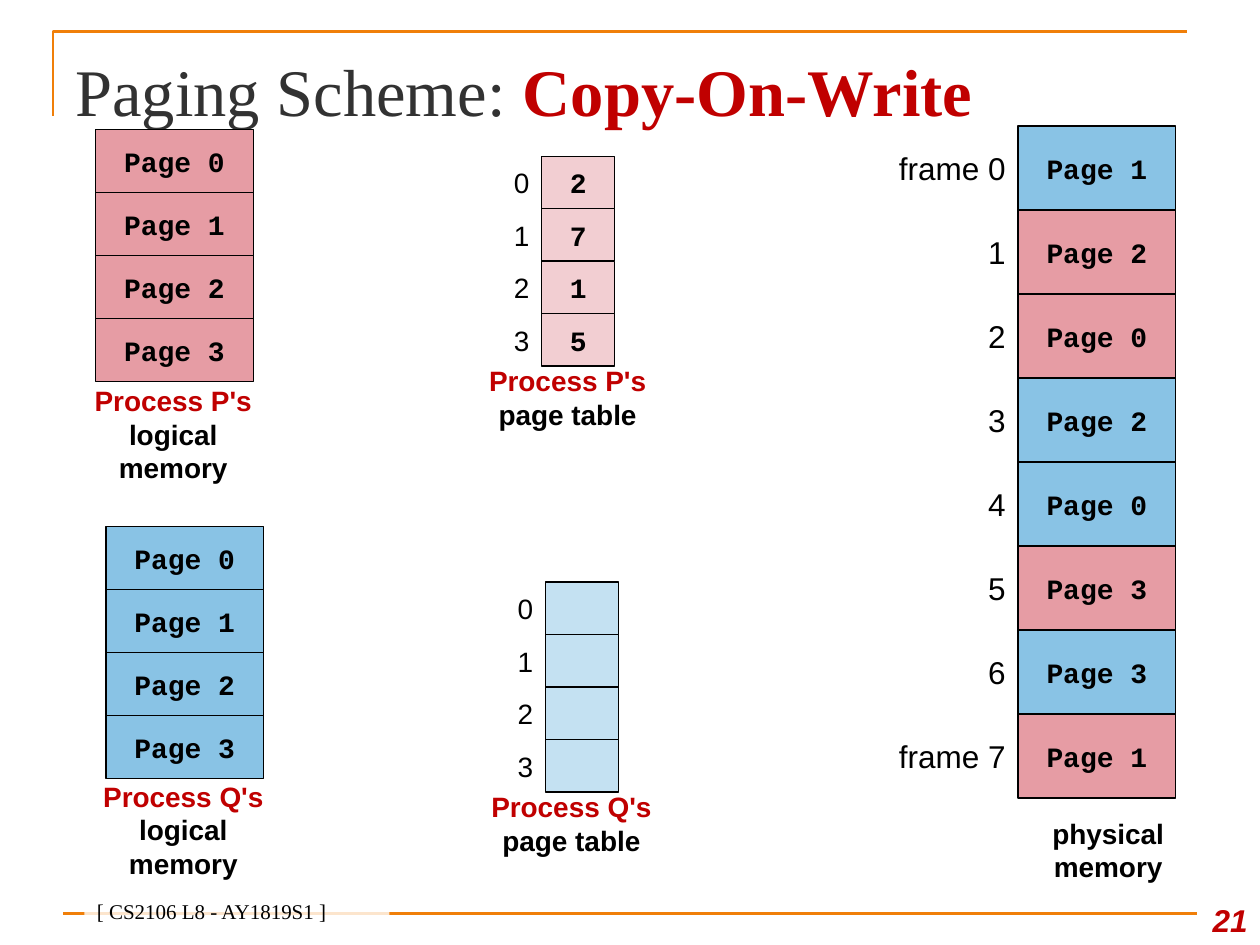
from lxml.etree import SubElement
from pptx import Presentation
from pptx.dml.color import RGBColor
from pptx.enum.shapes import MSO_CONNECTOR, MSO_SHAPE
from pptx.enum.text import MSO_ANCHOR, PP_ALIGN
from pptx.oxml.ns import qn
from pptx.util import Inches, Pt

BLACK, WHITE, RED, ORANGE, GREY = "000000", "FFFFFF", "C00000", "F07F09", "323232"
PROCESS_FILL = {"P": "E69CA4", "Q": "89C3E5"}
ENTRY_FILL = {"P": "F2CED2", "Q": "C4E1F2"}

TITLE = [("Paging Scheme: ", GREY, False), ("Copy-On-Write", RED, True)]
FOOTER = "[ CS2106 L8 - AY1819S1 ]"
SLIDE_NUMBER = "21"
PAGES = ["Page 0", "Page 1", "Page 2", "Page 3"]
LOGICAL_MEMORIES = [("P", 0.76, 1.03, 0.5, 3.07), ("Q", 0.84, 4.18, 0.58, 6.21)]
PAGE_TABLES = [
    ("P", 4.3, 1.24, ["2", "7", "1", "5"]),
    ("Q", 4.33, 4.62, ["", "", "", ""]),
]
FRAMES = [
    ("frame 0", "Q", "Page 1"),
    ("1", "P", "Page 2"),
    ("2", "P", "Page 0"),
    ("3", "Q", "Page 2"),
    ("4", "Q", "Page 0"),
    ("5", "P", "Page 3"),
    ("6", "Q", "Page 3"),
    ("frame 7", "P", "Page 1"),
]

PAGE_WIDTH, PAGE_HEIGHT = 1.25, 0.5
ENTRY_WIDTH, ENTRY_HEIGHT, INDEX_WIDTH = 0.58, 1.25 / 3, 0.5
FRAME_LEFT, FRAME_TOP, FRAME_HEIGHT, FRAME_LABEL_WIDTH = 8.08, 1, 2 / 3, 1.08
CAPTION_WIDTH = 1.75

presentation = Presentation()
presentation.slide_width, presentation.slide_height = Inches(10), Inches(7.5)
slide = presentation.slides.add_slide(presentation.slide_layouts[6])


def color(value):
    return RGBColor.from_string(value)


def write(shape, lines, size, font="Arial", align=PP_ALIGN.CENTER,
          anchor=MSO_ANCHOR.MIDDLE, italic=False):
    frame = shape.text_frame
    frame.word_wrap = True
    frame.vertical_anchor = anchor
    for number, line in enumerate(lines):
        paragraph = frame.add_paragraph() if number else frame.paragraphs[0]
        paragraph.alignment = align
        for text, ink, bold in line:
            run = paragraph.add_run()
            run.text = text
            run.font.name, run.font.size = font, Pt(size)
            run.font.bold, run.font.italic = bold, italic
            run.font.color.rgb = color(ink)


def add_text(left, top, width, height, lines, size, **style):
    box = slide.shapes.add_textbox(*map(Inches, (left, top, width, height)))
    write(box, lines, size, **style)


def add_rectangle(left, top, width, height, fill, outlined=True):
    rectangle = slide.shapes.add_shape(
        MSO_SHAPE.RECTANGLE, *map(Inches, (left, top, width, height)))
    rectangle.shadow.inherit = False
    rectangle.fill.solid()
    rectangle.fill.fore_color.rgb = color(fill)
    if outlined:
        rectangle.line.color.rgb = color(BLACK)
        rectangle.line.width = Pt(0.75)
    else:
        rectangle.line.fill.background()
    return rectangle


def add_cell(left, top, width, height, fill, text):
    cell = add_rectangle(left, top, width, height, fill)
    if text:
        write(cell, [[(text, BLACK, True)]], 16, font="Courier New")


def add_caption(left, top, height, process, subject):
    lines = [[(f"Process {process}'s", RED, True)], [(subject, BLACK, True)]]
    add_text(left, top, CAPTION_WIDTH, height, lines, 16)


def add_index(left, top, width, height, text, size):
    add_text(left, top, width, height, [[(text, BLACK, False)]], size, align=PP_ALIGN.RIGHT)


outline = slide.shapes.build_freeform(Inches(0.42), Inches(0.92))
outline.add_line_segments(
    [(Inches(0.42), Inches(0.25)), (Inches(9.42), Inches(0.25))], close=False)
corner = outline.convert_to_shape()
corner.shadow.inherit = False
corner.fill.background()

footer_rule = slide.shapes.add_connector(
    MSO_CONNECTOR.STRAIGHT, Inches(0.5), Inches(7.25), Inches(9.5), Inches(7.25))
SubElement(footer_rule._element.spPr, qn("a:effectLst"))
for rule in (corner, footer_rule):
    rule.line.color.rgb = color(ORANGE)
    rule.line.width = Pt(1.5)
footer_rule._element.spPr.append(footer_rule._element.spPr.find(qn("a:effectLst")))

add_text(0.5, 0.3, 9, 0.78, [TITLE], 38, font="Times New Roman",
         align=PP_ALIGN.LEFT, anchor=MSO_ANCHOR.BOTTOM)

footer = add_rectangle(0.67, 7.13, 2.42, 0.25, WHITE, outlined=False)
footer_tint = footer._element.spPr.find(qn("a:solidFill")).find(qn("a:srgbClr"))
SubElement(footer_tint, qn("a:alpha"), val="80000")
write(footer, [[(FOOTER, BLACK, False)]], 12, font="Times New Roman",
      align=PP_ALIGN.LEFT, anchor=MSO_ANCHOR.BOTTOM)
add_text(9.42, 7, 0.58, 0.5, [[(SLIDE_NUMBER, RED, True)]], 18,
         align=PP_ALIGN.RIGHT, anchor=MSO_ANCHOR.BOTTOM, italic=True)

for process, left, top, caption_left, caption_top in LOGICAL_MEMORIES:
    for row, page in enumerate(PAGES):
        add_cell(left, top + row * PAGE_HEIGHT, PAGE_WIDTH, PAGE_HEIGHT,
                 PROCESS_FILL[process], page)
    add_caption(caption_left, caption_top, 0.75, process, "logical memory")

for process, left, top, entries in PAGE_TABLES:
    for row, entry in enumerate(entries):
        entry_top = top + row * ENTRY_HEIGHT
        add_index(left - INDEX_WIDTH, entry_top, INDEX_WIDTH, ENTRY_HEIGHT, str(row), 16)
        add_cell(left, entry_top, ENTRY_WIDTH, ENTRY_HEIGHT, ENTRY_FILL[process], entry)
    add_caption(left - 0.67, top + 1.75, 0.33, process, "page table")

for row, (label, process, page) in enumerate(FRAMES):
    frame_top = FRAME_TOP + row * FRAME_HEIGHT
    add_index(FRAME_LEFT - FRAME_LABEL_WIDTH, frame_top, FRAME_LABEL_WIDTH,
              FRAME_HEIGHT, label, 18)
    add_cell(FRAME_LEFT, frame_top, PAGE_WIDTH, FRAME_HEIGHT, PROCESS_FILL[process], page)
add_text(7.92, 6.33, CAPTION_WIDTH, 0.83, [[("physical memory", BLACK, True)]], 16)

presentation.save("out.pptx")
